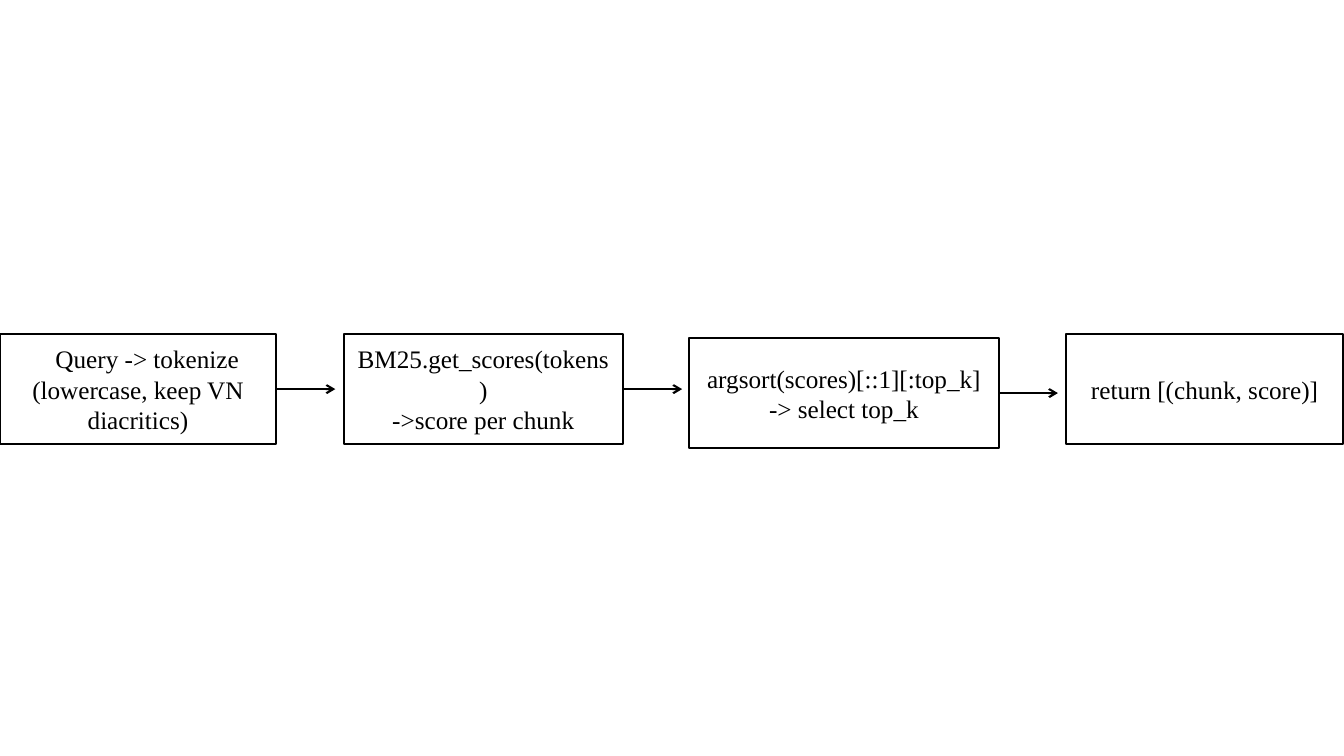
"""Draw the four-step BM25 retrieval flow on one slide."""
from dataclasses import dataclass

from lxml.etree import SubElement
from pptx import Presentation
from pptx.dml.color import RGBColor
from pptx.dml.line import LineFormat
from pptx.enum.shapes import MSO_CONNECTOR, MSO_SHAPE
from pptx.enum.text import MSO_ANCHOR, PP_ALIGN
from pptx.oxml.ns import qn
from pptx.shapes.autoshape import Shape
from pptx.slide import Slide
from pptx.util import Cm, Pt

BLACK, WHITE = "000000", "FFFFFF"
FONT = "Times New Roman"
BOX_HEIGHT = 2.79
ARROW_LENGTH = 1.49


@dataclass(frozen=True)
class Step:
    left: float
    top: float
    width: float
    text: str
    first_indent: float = 0


STEPS = [
    Step(0, 8.41, 6.96, "Query -> tokenize\n(lowercase, keep VN diacritics)", 0.46),
    Step(8.66, 8.41, 7.04, "BM25.get_scores(tokens)\n->score per chunk"),
    Step(17.37, 8.51, 7.8, "argsort(scores)[::1][:top_k]\n-> select top_k"),
    Step(26.87, 8.41, 6.98, "return [(chunk, score)]"),
]


def rgb(value: str) -> RGBColor:
    return RGBColor.from_string(value)


def style_line(line: LineFormat) -> None:
    line.color.rgb = rgb(BLACK)
    line.width = Pt(1.5)


def draw_step(slide: Slide, step: Step) -> Shape:
    sp = slide.shapes.add_shape(
        MSO_SHAPE.RECTANGLE, Cm(step.left), Cm(step.top), Cm(step.width), Cm(BOX_HEIGHT)
    )
    sp.shadow.inherit = False
    sp.fill.solid()
    sp.fill.fore_color.rgb = rgb(WHITE)
    style_line(sp.line)
    tf = sp.text_frame
    tf.word_wrap = True
    tf.vertical_anchor = MSO_ANCHOR.MIDDLE
    tf.text = step.text
    for p in tf.paragraphs:
        p.alignment = PP_ALIGN.CENTER
        for r in p.runs:
            r.font.name = FONT
            r.font.size = Pt(18)
            r.font.color.rgb = rgb(BLACK)
    if step.first_indent:
        pPr = tf.paragraphs[0]._p.get_or_add_pPr()
        pPr.set("marL", str(Cm(step.first_indent)))
    return sp


def draw_arrow(slide: Slide, box: Shape) -> None:
    x, y = box.left + box.width, box.top + box.height // 2
    arrow = slide.shapes.add_connector(
        MSO_CONNECTOR.STRAIGHT, x, y, x + Cm(ARROW_LENGTH), y
    )
    arrow.begin_connect(box, 3)
    style_line(arrow.line)
    SubElement(arrow.line._get_or_add_ln(), qn("a:tailEnd"), type="arrow")
    SubElement(arrow._element.spPr, qn("a:effectLst"))


def main() -> None:
    prs = Presentation()
    prs.slide_width, prs.slide_height = Cm(33.87), Cm(19.05)
    slide = prs.slides.add_slide(prs.slide_layouts[6])
    boxes = [draw_step(slide, step) for step in STEPS]
    for box in boxes[:-1]:
        draw_arrow(slide, box)
    prs.save("out.pptx")


if __name__ == "__main__":
    main()
